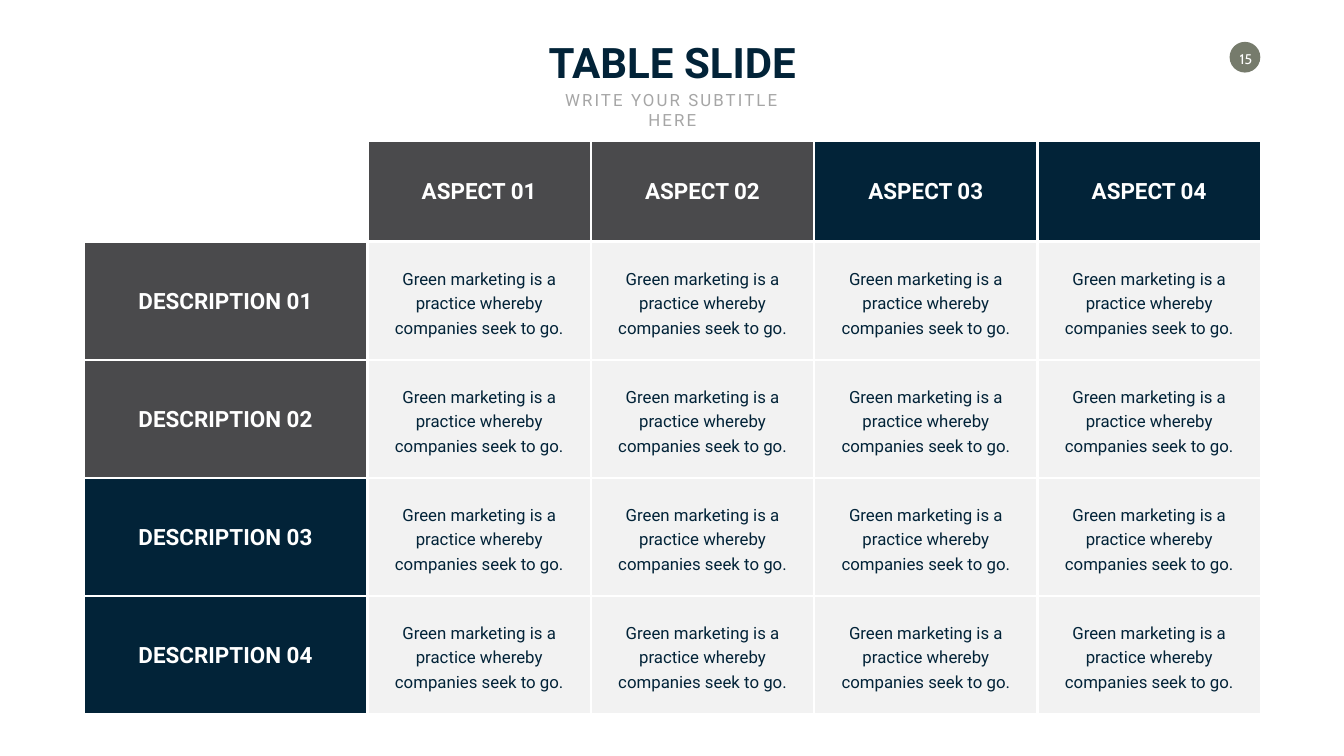
from dataclasses import dataclass

from pptx import Presentation
from pptx import util as u
from pptx.dml import color as dml
from pptx.enum import shapes, text
from pptx.text import text as tx

PX = 9144  # EMU per px, at 100 px to the inch
COLORS = {
    "navy": "022338",
    "gray": "4A4A4C",
    "pale": "F2F2F2",
    "muted": "A6A6A6",
    "olive": "767B6C",
    "white": "FFFFFF",
}
BODY = "Green marketing is a practice whereby companies seek to go."

# Grid: heading column and row, then equal body cells
LEFT, TOP = 166, 279
SIDE_W, HEAD_H = 563, 200
CELL_W, CELL_H = 443, 234


@dataclass(frozen=True)
class Box:
    left: int
    top: int
    width: int
    height: int

    def emu(self) -> list[u.Emu]:
        return [px(v) for v in (self.left, self.top, self.width, self.height)]


@dataclass(frozen=True)
class Heading:
    label: str
    color: str


COLUMNS = [Heading(f"ASPECT 0{i}", "gray" if i < 3 else "navy") for i in range(1, 5)]
ROWS = [Heading(f"DESCRIPTION 0{i}", "gray" if i < 3 else "navy") for i in range(1, 5)]


def px(n: int) -> u.Emu:
    return u.Emu(n * PX)


def rgb(name: str) -> dml.RGBColor:
    return dml.RGBColor.from_string(COLORS[name])


def write(tf: tx.TextFrame, words: str, *, size: int, color: str, font: str = "Roboto",
          bold: bool = False, tracking: int = 0, leading: int = 0) -> None:
    """Write one centred paragraph; tracking and leading are in points."""
    p = tf.paragraphs[0]
    p.alignment = text.PP_ALIGN.CENTER
    if leading:
        p.line_spacing = u.Pt(leading)
    r = p.add_run()
    r.text = words
    r.font.name, r.font.size, r.font.bold = font, u.Pt(size), bold
    r.font.color.rgb = rgb(color)
    if tracking:
        r.font._element.set("spc", str(tracking * 100))


def add_text(s, box: Box, words: str, *, wrap: bool = False, **style) -> None:
    tf = s.shapes.add_textbox(*box.emu()).text_frame
    tf.word_wrap = wrap
    write(tf, words, **style)


def add_filled(s, kind: shapes.MSO_SHAPE, box: Box, fill: str):
    sp = s.shapes.add_shape(kind, *box.emu())
    sp.shadow.inherit = False
    sp.fill.solid()
    sp.fill.fore_color.rgb = rgb(fill)
    sp.line.fill.background()
    sp.text_frame.vertical_anchor = text.MSO_ANCHOR.MIDDLE
    return sp


def add_badge(s, box: Box, words: str) -> None:
    tf = add_filled(s, shapes.MSO_SHAPE.OVAL, box, "olive").text_frame
    tf.word_wrap = False
    tf.margin_left, tf.margin_top = px(4), px(8)
    tf.margin_right = tf.margin_bottom = 0
    write(tf, words, size=20, color="white", font="Cabin")


def add_cell(s, box: Box, fill: str, words: str, **style) -> None:
    sp = add_filled(s, shapes.MSO_SHAPE.RECTANGLE, box, fill)
    sp.line.color.rgb = rgb("white")
    sp.line.width = u.Pt(3)
    tf = sp.text_frame
    tf.word_wrap = True
    tf.margin_left = tf.margin_right = px(39)
    write(tf, words, **style)


def add_matrix(s) -> None:
    lefts = [LEFT + SIDE_W + j * CELL_W for j in range(len(COLUMNS))]
    tops = [TOP + HEAD_H + 1 + i * CELL_H for i in range(len(ROWS))]
    label = dict(size=32, color="white", bold=True)

    # Headings
    for left, column in zip(lefts, COLUMNS):
        add_cell(s, Box(left, TOP, CELL_W, HEAD_H), column.color, column.label, **label)
    for top, row in zip(tops, ROWS):
        add_cell(s, Box(LEFT, top, SIDE_W, CELL_H), row.color, row.label, **label)

    # Body cells
    for top in tops:
        for left in lefts:
            add_cell(s, Box(left, top, CELL_W, CELL_H), "pale", BODY,
                     size=24, color="navy", leading=35)


def main() -> None:
    prs = Presentation()
    prs.slide_width, prs.slide_height = px(2666), px(1500)
    s = prs.slides.add_slide(prs.slide_layouts[6])

    # Header
    add_badge(s, Box(2439, 83, 61, 61), "15")
    add_text(s, Box(1076, 67, 515, 111), "TABLE SLIDE", size=60, color="navy", bold=True)
    add_text(s, Box(1062, 173, 543, 50), "WRITE YOUR SUBTITLE HERE", wrap=True,
             size=24, color="muted", tracking=3)

    # Comparison grid
    add_matrix(s)

    prs.save("out.pptx")


if __name__ == "__main__":
    main()
